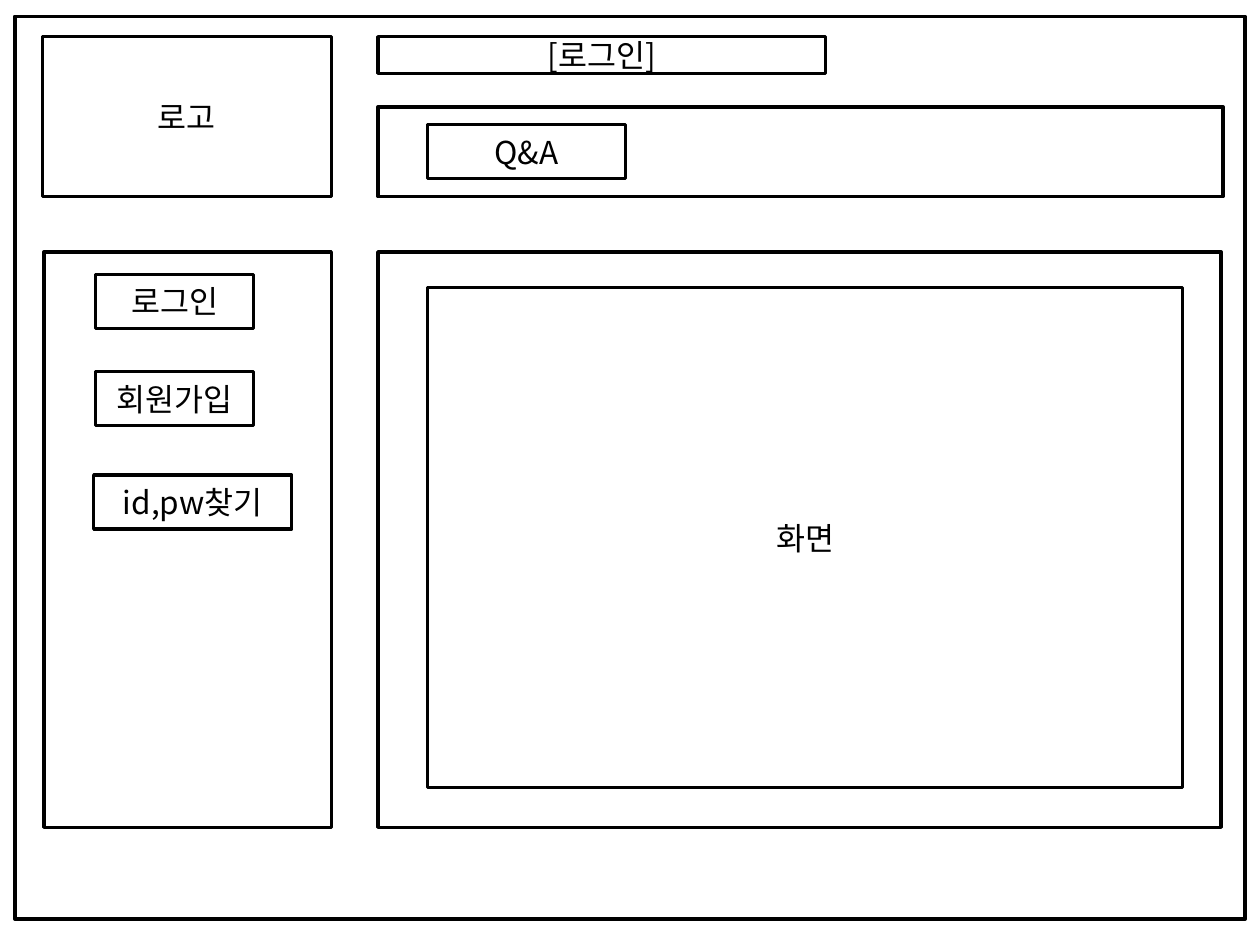
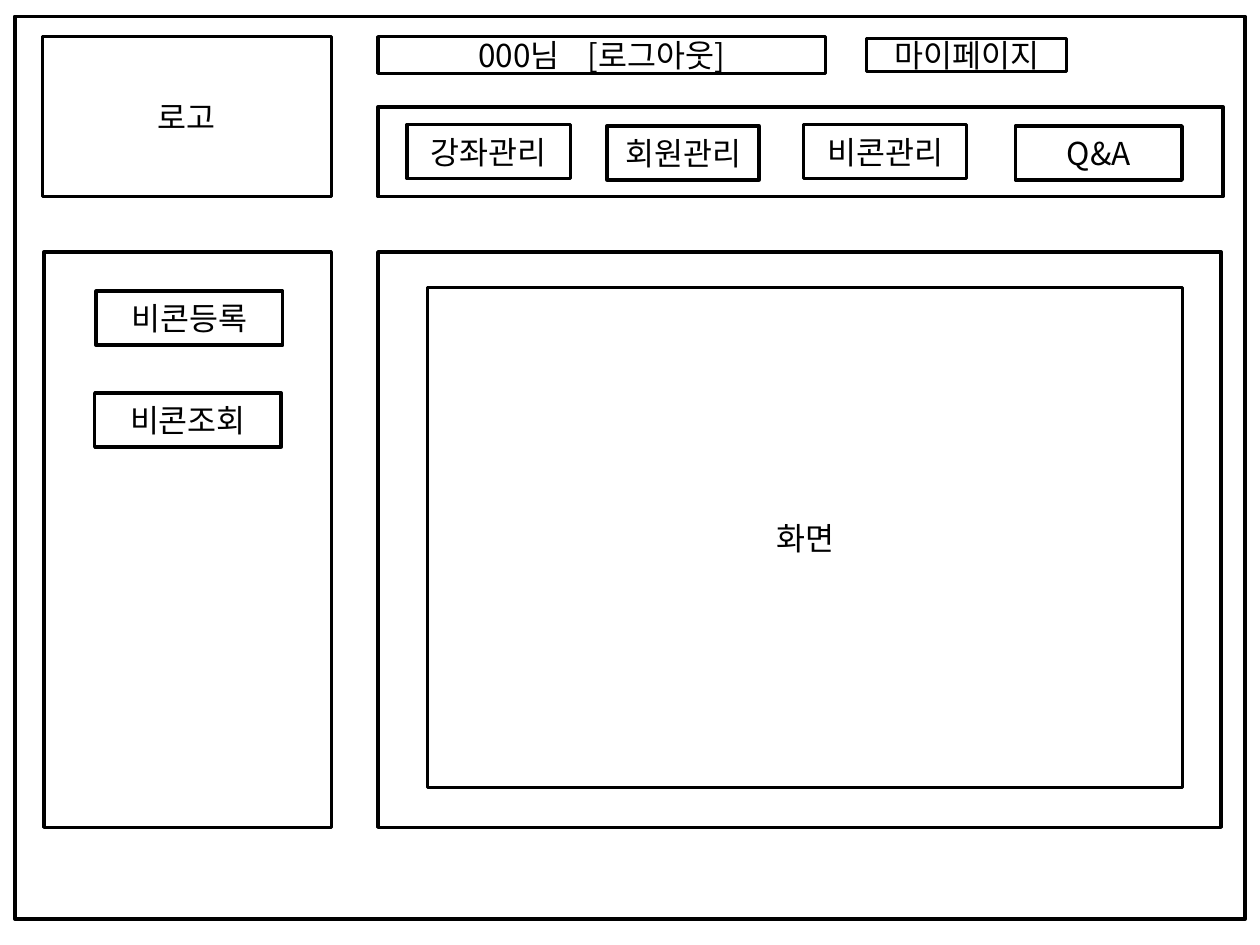
"""Build two wireframe slides: the page before login and the manager's page."""
from lxml.etree import SubElement
from pptx import Presentation
from pptx.dml.color import RGBColor
from pptx.enum.shapes import MSO_SHAPE
from pptx.enum.text import MSO_ANCHOR, PP_ALIGN
from pptx.oxml.ns import qn
from pptx.util import Cm, Pt

FONT = "Noto Sans CJK KR"
INK, PAPER = "000000", "FFFFFF"
BUTTON_H = 1.09
NAV_Y = 2.51


def color(hex_code):
    """Return the colour for a hex string."""
    return RGBColor.from_string(hex_code)


def add_run(p, text, gap=0):
    """Add a run, with optional extra character spacing in points."""
    r = p.add_run()
    r.text = text
    r.font.size = Pt(18)
    r.font.name = FONT
    r.font.color.rgb = color(INK)
    rPr = r.font._element
    SubElement(rPr, qn("a:ea")).set("typeface", FONT)
    if gap:
        rPr.set("spc", str(gap * 100))


def add_box(s, x, y, w, h, *texts):
    """Draw an outlined box with centred text and return its paragraph."""
    sp = s.shapes.add_shape(MSO_SHAPE.RECTANGLE, Cm(x), Cm(y), Cm(w), Cm(h))
    sp.shadow.inherit = False
    sp.fill.solid()
    sp.fill.fore_color.rgb = color(PAPER)
    sp.line.color.rgb = color(INK)
    sp.line.width = Pt(2)
    tf = sp.text_frame
    tf.vertical_anchor = MSO_ANCHOR.MIDDLE
    p = tf.paragraphs[0]
    p.alignment = PP_ALIGN.CENTER
    for text in texts:
        add_run(p, text)
    return p


def add_buttons(s, buttons):
    """Draw buttons of equal height from (text, x, y, width) rows."""
    for text, x, y, w in buttons:
        add_box(s, x, y, w, BUTTON_H, text)


def add_page(prs):
    """Add a slide with the shared frame; return it and its status line."""
    s = prs.slides.add_slide(prs.slide_layouts[6])
    add_box(s, 0.3, 0.33, 24.8, 18.2)
    add_box(s, 7.62, 5.08, 17, 11.6)
    add_box(s, 0.89, 5.08, 5.79, 11.6)
    add_box(s, 7.62, 2.16, 17.04, 1.8)
    add_box(s, 0.86, 0.74, 5.82, 3.22, "로고")
    add_box(s, 8.62, 5.8, 15.22, 10.08, "화면")
    status = add_box(s, 7.62, 0.74, 9.02, 0.74)
    return s, status


def build_guest_page(prs):
    """Build the page shown before login."""
    s, status = add_page(prs)
    add_run(status, "[로그인]")
    add_buttons(s, [
        ("로그인", 1.93, 5.53, 3.18),
        ("회원가입", 1.93, 7.49, 3.18),
        ("id,pw찾기", 1.89, 9.58, 3.99),
        ("Q&A", 8.62, NAV_Y, 3.99),
    ])


def build_manager_page(prs):
    """Build the page of a logged-in manager."""
    s, status = add_page(prs)
    add_run(status, "000님")
    add_run(status, " ", gap=12)
    add_run(status, "[로그아웃]")
    add_box(s, 17.47, 0.78, 4.03, 0.66, "마이페이지")
    add_buttons(s, [
        ("비콘등록", 1.94, 5.87, 3.76),
        ("비콘조회", 1.91, 7.92, 3.76),
        ("강좌관리", 8.21, NAV_Y, 3.29),
        ("회원관리", 12.24, NAV_Y + 0.03, 3.06),
        ("비콘관리", 16.2, NAV_Y, 3.29),
        ("Q&A", 20.47, NAV_Y + 0.03, 3.36),
    ])


def main():
    """Build and save the deck."""
    prs = Presentation()
    prs.slide_width, prs.slide_height = Cm(25.4), Cm(19.05)
    build_guest_page(prs)
    build_manager_page(prs)
    prs.save("out.pptx")


if __name__ == "__main__":
    main()
